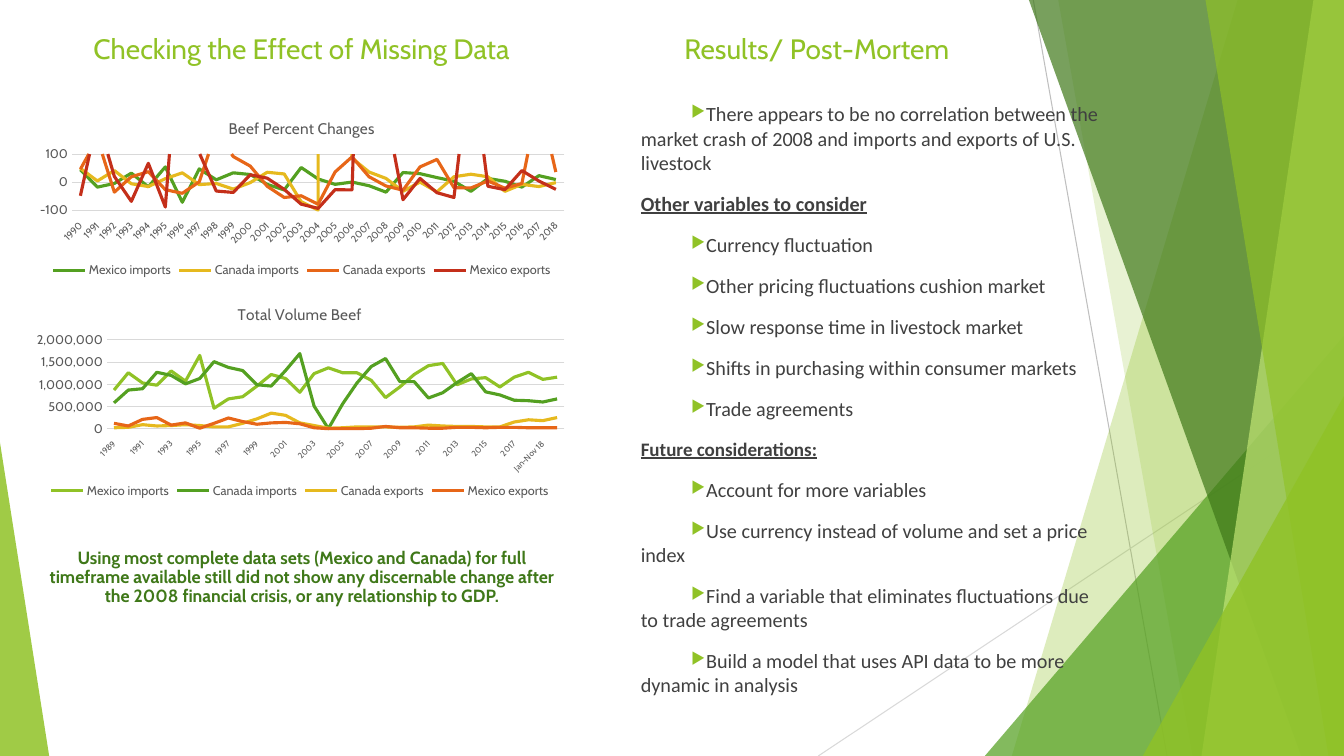
"""Build the slide on missing beef-trade data and the project's results."""
from lxml import etree
from pptx import Presentation
from pptx import util as u
from pptx.chart.data import CategoryChartData
from pptx.dml.color import RGBColor
from pptx.enum import chart as charts, shapes, text
from pptx.oxml.ns import qn

WIDTH, HEIGHT = 33.87, 19.05
LIME, GREEN, FOREST = "90C226", "54A021", "3F7819"
YELLOW, ORANGE, RED = "E6B91E", "E76618", "C42F1A"
GREY, BODY, GRID = "595959", "404040", "D9D9D9"


def color(value):
    return RGBColor.from_string(value)


class Slide:
    def __init__(self, page, font):
        self.page, self.font = page, font

    def style(self, font, size, shade, bold=False, name=None):
        font.size, font.bold, font.name = u.Pt(size), bold, name or self.font
        font.color.rgb = color(shade)

    def line(self, x1, y1, x2, y2, shade):
        connector = self.page.shapes.add_connector(
            shapes.MSO_CONNECTOR.STRAIGHT, *map(u.Cm, (x1, y1, x2, y2)))
        connector.line.color.rgb = color(shade)
        connector.line.width = u.Pt(0.75)
        etree.SubElement(connector._element.spPr, qn("a:effectLst"))

    def paint(self, shape, shade, opacity):
        shape.shadow.inherit = False
        shape.fill.solid()
        shape.fill.fore_color.rgb = color(shade)
        shape.line.fill.background()
        fill = shape._element.spPr.find(qn("a:solidFill"))
        etree.SubElement(fill[0], qn("a:alpha"), val=str(opacity * 1000))

    def band(self, top, bottom, shade, opacity):
        corners = [(WIDTH, 0), (WIDTH, HEIGHT), (bottom, HEIGHT)]
        builder = self.page.shapes.build_freeform(u.Cm(top), 0)
        builder.add_line_segments([(u.Cm(x), u.Cm(y)) for x, y in corners])
        self.paint(builder.convert_to_shape(), shade, opacity)

    def triangle(self, left, top, width, apex, shade, opacity):
        shape = self.page.shapes.add_shape(
            shapes.MSO_SHAPE.ISOSCELES_TRIANGLE,
            *map(u.Cm, (left, top, width, HEIGHT - top)))
        shape.adjustments[0] = apex
        self.paint(shape, shade, opacity)

    def frame(self, left, top, width, height, anchor):
        box = self.page.shapes.add_textbox(*map(u.Cm, (left, top, width, height)))
        box.text_frame.word_wrap = True
        box.text_frame.vertical_anchor = anchor
        return box.text_frame

    def heading(self, words, place, size, shade, anchor, bold=False, spacing=1.0):
        frame = self.frame(*place, anchor)
        frame.text = words
        para = frame.paragraphs[0]
        para.alignment, para.line_spacing = text.PP_ALIGN.CENTER, spacing
        self.style(para.runs[0].font, size, shade, bold)

    def bullet(self, para):
        props = para._p.get_or_add_pPr()
        props.set("indent", str(u.Cm(1.27)))
        tint = etree.SubElement(props, qn("a:buClr"))
        etree.SubElement(tint, qn("a:srgbClr"), val=LIME)
        etree.SubElement(props, qn("a:buSzPct"), val="80000")
        etree.SubElement(props, qn("a:buChar"), char="\u25b6")

    def outline(self, sections, place):
        frame = self.frame(*place, text.MSO_ANCHOR.TOP)
        rows = []
        for title, size, points in sections:
            rows += [(title, size, True)] if title else []
            rows += [(point, 14.4, False) for point in points]
        frame.text = "\n".join(words for words, _, _ in rows)
        for para, (_, size, is_title) in zip(frame.paragraphs, rows):
            para.space_before = para.space_after = u.Pt(6)
            para._p.get_or_add_pPr().set("marL", str(u.Cm(0.96)))
            if not is_title:
                self.bullet(para)
            span = para.runs[0]
            self.style(span.font, size, BODY, is_title, "Calibri")
            span.font.underline = is_title

    def chart(self, title, place, years, series, label_size, plot):
        data = CategoryChartData()
        data.categories = years
        for name, _, values in series:
            data.add_series(name, values)
        chart = self.page.shapes.add_chart(
            charts.XL_CHART_TYPE.LINE, *map(u.Cm, place), data).chart
        self.style(chart.font, 10, "000000")
        chart.has_title = True
        chart.chart_title.text_frame.text = title
        self.style(chart.chart_title.text_frame.paragraphs[0].runs[0].font, 11, GREY)
        chart.chart_title.include_in_layout = False
        chart.has_legend = True
        chart.legend.position = charts.XL_LEGEND_POSITION.BOTTOM
        chart.legend.include_in_layout = False
        self.style(chart.legend.font, 9, GREY)
        chart.plots[0].vary_by_categories = False
        for drawn, (_, shade, _) in zip(chart.plots[0].series, series):
            drawn.smooth = False
            drawn.format.line.width = u.Pt(2.25)
            drawn.format.line.color.rgb = color(shade)
        for axis, size in ((chart.category_axis, label_size), (chart.value_axis, 9)):
            axis.major_tick_mark = axis.minor_tick_mark = charts.XL_TICK_MARK.NONE
            self.style(axis.tick_labels.font, size, GREY)
        across, up = chart.category_axis, chart.value_axis
        across.tick_label_position = charts.XL_TICK_LABEL_POSITION.LOW
        across._element.find(qn("c:txPr"))[0].set("rot", "-2700000")
        up.format.line.fill.background()
        up.has_major_gridlines = True
        for line in (across.format.line, up.major_gridlines.format.line):
            line.color.rgb, line.width = color(GRID), u.Pt(0.75)
        self.lay_out(chart, plot)
        return up

    def lay_out(self, chart, plot):
        area = chart._chartSpace.find(".//" + qn("c:plotArea"))
        for old in area.findall(qn("c:layout")):
            area.remove(old)
        layout = etree.Element(qn("c:layout"))
        area.insert(0, layout)
        manual = etree.SubElement(layout, qn("c:manualLayout"))
        settings = [("layoutTarget", "inner"), ("xMode", "edge"), ("yMode", "edge")]
        for tag, value in settings + list(zip("xywh", plot)):
            etree.SubElement(manual, qn("c:" + tag), val=str(value))


CHANGES = [
    ("Mexico imports", GREEN, [44, -18, -5, 32, -17, 54, -72, 47, 8, 33, 27, -8, -28, 52, 11, -8,
                               0, -13, -36, 34, 30, 16, 3, -33, 13, 3, -18, 23, 9]),
    ("Canada imports", YELLOW, [49, 4, 41, -6, -16, 12, 33, -9, -5, -25, -2, 35, 29, -70, -100, 414073,
                                85, 36, 13, -33, 0, -35, 19, 28, 19, -33, -8, -16, -2]),
    ("Canada exports", ORANGE, [46, 155, -36, 19, 37, -27, -40, 1, 183, 91, 57, -15, -55, -49, -79, 36,
                                90, 19, -14, -29, 54, 81, -20, -21, 4, -22, -5, 297, 36]),
    ("Mexico exports", RED, [-49, 227, 20, -69, 67, -89, 687, 104, -32, -37, 26, 14, -26, -79, -94, -27,
                             -28, 1795, 257, -63, 13, -38, -55, 459, -15, -27, 41, 4, -26])]
TEN_THOUSANDS = [
    ("Mexico imports", LIME, [87, 126, 103, 98, 130, 107, 165, 46, 67, 72, 96, 122, 113, 82, 124, 137,
                              126, 126, 109, 70, 94, 122, 142, 147, 99, 112, 115, 94, 116, 127, 111, 116]),
    ("Canada imports", GREEN, [58, 87, 90, 127, 120, 101, 113, 151, 138, 131, 99, 96, 131, 169, 51, 0,
                               56, 103, 140, 158, 106, 106, 69, 81, 104, 124, 83, 76, 64, 63, 60, 67]),
    ("Canada exports", YELLOW, [2, 3, 9, 6, 7, 9, 7, 4, 4, 12, 22, 35, 30, 13, 7, 1,
                                2, 4, 4, 4, 3, 4, 8, 6, 5, 5, 4, 4, 15, 20, 18, 25]),
    ("Mexico exports", ORANGE, [12, 6, 21, 25, 8, 13, 1, 12, 24, 16, 10, 13, 14, 11, 2, 0,
                                0, 0, 1, 5, 2, 2, 1, 1, 3, 3, 2, 3, 3, 2, 2, 2])]
VOLUMES = [(name, shade, [n * 10000 for n in values]) for name, shade, values in TEN_THOUSANDS]
SECTIONS = [
    (None, None, ["There appears to be no correlation between the market crash of 2008 "
                  "and imports and exports of U.S. livestock"]),
    ("Other variables to consider", 14.4, [
        "Currency fluctuation", "Other pricing fluctuations cushion market",
        "Slow response time in livestock market",
        "Shifts in purchasing within consumer markets", "Trade agreements"]),
    ("Future considerations:", 13.6, [
        "Account for more variables",
        "Use currency instead of volume and set a price index",
        "Find a variable that eliminates fluctuations due to trade agreements",
        "Build a model that uses API data to be more dynamic in analysis"])]

deck = Presentation()
deck.slide_width, deck.slide_height = u.Cm(WIDTH), u.Cm(HEIGHT)
slide = Slide(deck.slides.add_slide(deck.slide_layouts[6]), "Cabin")

slide.line(26.04, 0, 29.41, HEIGHT, "BFBFBF")
slide.line(WIDTH, 10.24, 20.62, HEIGHT, GRID)
slide.band(31.19, 25.5, LIME, 30)
slide.band(26.67, 30.05, LIME, 20)
slide.triangle(24.82, 8.46, 9.05, 1, GREEN, 72)
slide.band(25.93, 32.79, FOREST, 70)
slide.band(33.1, 30.28, "C0E474", 70)
slide.band(30.38, 33.48, LIME, 65)
slide.triangle(28.8, 9.98, 5.07, 1, LIME, 80)
slide.triangle(0, 11.15, 1.24, 0, LIME, 85)

percent_axis = slide.chart("Beef Percent Changes", (0.71, 2.69, 13.79, 4.42),
                           [str(year) for year in range(1990, 2019)], CHANGES, 7,
                           (0.08, 0.27, 0.9, 0.32))
percent_axis.minimum_scale, percent_axis.maximum_scale = -100, 100
volume_axis = slide.chart("Total Volume Beef", (0.61, 7.34, 13.89, 5.33),
                          [str(year) for year in range(1989, 2019)] + ["Jan-Nov 18", "Jan-Nov 19"],
                          VOLUMES, 6, (0.15, 0.23, 0.83, 0.42))
volume_axis.tick_labels.number_format = "#,##0"
volume_axis.tick_labels.number_format_is_linked = False

for words, left in (("Checking the Effect of Missing Data", 0.71), ("Results/ Post-Mortem", 13.69)):
    slide.heading(words, (left, 0, 13.79, 2.44), 20, LIME, text.MSO_ANCHOR.MIDDLE)
slide.heading("Using most complete data sets (Mexico and Canada) for full timeframe available still did "
              "not show any discernable change after the 2008 financial crisis, or any relationship to GDP.",
              (0.71, 13.11, 13.79, 2.29), 12.6, FOREST, text.MSO_ANCHOR.BOTTOM, True, 0.9)
slide.outline(SECTIONS, (14.94, 2.44, 13.31, 15.42))
deck.save("out.pptx")
